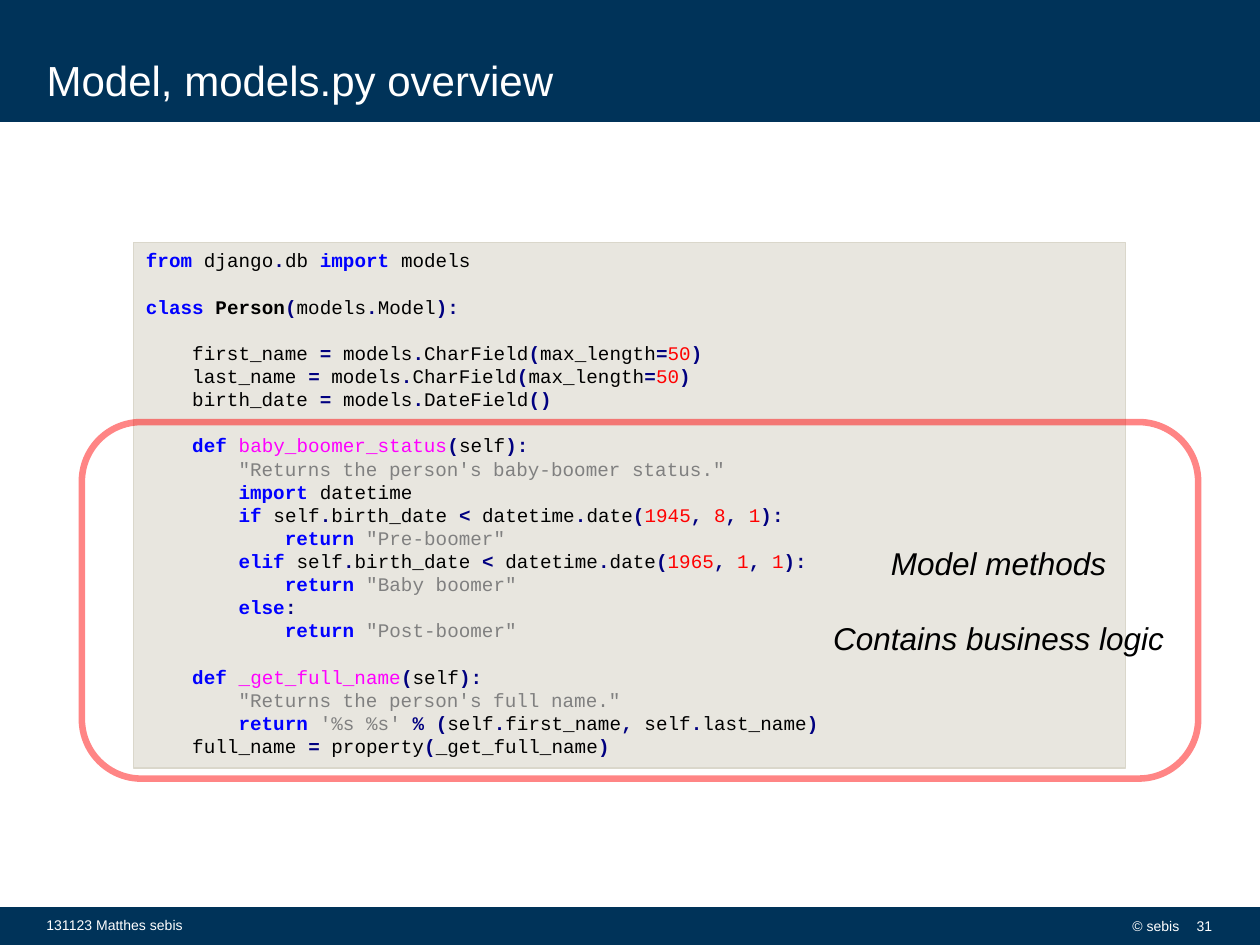
import itertools

import pptx
import pptx.dml.color
import pptx.enum.shapes
import pptx.enum.text
import pptx.oxml
import pptx.util

COLORS = {
    "band": "003359", "white": "FFFFFF", "black": "000000",
    "panel": "E8E6DF", "panel line": "DAD7CB", "highlight": "FF0000",
    "keyword": "0000FF", "operator": "000080", "function": "FF00FF",
    "number": "FF0000", "string": "808080",
}
COLUMNS, ROWS = 40, 30
SHAPE = pptx.enum.shapes.MSO_SHAPE
ANCHOR = pptx.enum.text.MSO_ANCHOR
ALIGN = pptx.enum.text.PP_ALIGN

KEYWORDS = {"from", "import", "class", "def", "if", "elif", "else", "return"}
CODE = '''from django.db import models

class Person(models.Model):

    first_name = models.CharField(max_length=50)
    last_name = models.CharField(max_length=50)
    birth_date = models.DateField()

    def baby_boomer_status(self):
        "Returns the person's baby-boomer status."
        import datetime
        if self.birth_date < datetime.date(1945, 8, 1):
            return "Pre-boomer"
        elif self.birth_date < datetime.date(1965, 1, 1):
            return "Baby boomer"
        else:
            return "Post-boomer"

    def _get_full_name(self):
        "Returns the person's full name."
        return '%s %s' % (self.first_name, self.last_name)
    full_name = property(_get_full_name)'''


def character_kind(character):
    if character.isspace():
        return "space"
    if character in "\"'":
        return "quote"
    return "word" if character.isalnum() or character == "_" else "operator"


def word_style(word, previous):
    """Return the colour name and boldness of a word in the code."""
    if word in KEYWORDS:
        return "keyword", True
    if word.isdigit():
        return "number", False
    return {"def": ("function", False), "class": ("black", True)}.get(previous, ("black", False))


def highlight(line):
    """Yield (text, colour name, bold) for each token, with the spaces around it."""
    previous = ""
    rest = line.lstrip()
    indent = line[:len(line) - len(rest)]
    while rest:
        kind = character_kind(rest[0])
        if kind == "quote":
            end = rest.index(rest[0], 1) + 1
            style = "string", False
        else:
            end = len(list(itertools.takewhile(lambda c: character_kind(c) == kind, rest)))
            style = word_style(rest[:end], previous) if kind == "word" else ("operator", True)
        previous = rest[:end]
        following = rest[end:].lstrip()
        yield (indent + rest[:len(rest) - len(following)], *style)
        indent, rest = "", following


class SlideBuilder:
    """Holds the style and the current slide."""
    font = "Arial"
    code_font = "Courier New"

    def __init__(self, presentation):
        self.width = presentation.slide_width
        self.height = presentation.slide_height
        self.slide = presentation.slides.add_slide(presentation.slide_layouts[5])

    def box(self, left, top, width, height):
        """Turn grid columns and rows into slide lengths."""
        across, down = self.width / COLUMNS, self.height / ROWS
        return [round(v) for v in (left * across, top * down, width * across, height * down)]

    def color(self, name):
        return pptx.dml.color.RGBColor.from_string(COLORS[name])

    def format(self, target, values):
        for name, value in values.items():
            setattr(target, name, value)

    def run(self, paragraph, text, color, size, **values):
        run = paragraph.add_run()
        run.text = text
        run.font.color.rgb = self.color(color)
        self.format(run.font, {"name": self.font, "size": pptx.util.Pt(size), **values})

    def shape(self, kind, place, fill, line, line_width):
        shape = self.slide.shapes.add_shape(kind, *self.box(*place))
        shape.shadow.inherit = False
        if fill:
            shape.fill.solid()
            shape.fill.fore_color.rgb = self.color(fill)
        else:
            shape.fill.background()
        shape.line.color.rgb = self.color(line)
        shape.line.width = pptx.util.Pt(line_width)
        return shape

    def band(self, top, height):
        band = self.shape(SHAPE.RECTANGLE, (0, top, COLUMNS, height), "band", "band", 1.35)
        band.element.getparent().insert(2, band.element)  # behind the title

    def title(self, place, text):
        title = self.slide.shapes.title
        self.format(title, dict(zip(("left", "top", "width", "height"), self.box(*place))))
        self.format(title.text_frame, {
            "vertical_anchor": ANCHOR.BOTTOM, "margin_top": 0, "margin_bottom": 0,
            "word_wrap": True, "auto_size": pptx.enum.text.MSO_AUTO_SIZE.NONE})
        paragraph = title.text_frame.paragraphs[0]
        paragraph.alignment = ALIGN.LEFT
        self.run(paragraph, text, "white", 24)

    def text(self, place, lines, color, size, align=ALIGN.LEFT, anchor=ANCHOR.MIDDLE,
             wrap=False, gap=0, **values):
        frame = self.slide.shapes.add_textbox(*self.box(*place)).text_frame
        self.format(frame, {"vertical_anchor": anchor, "word_wrap": wrap})
        for index, line in enumerate(lines):
            paragraph = frame.add_paragraph() if index else frame.paragraphs[0]
            paragraph.alignment = align
            if index:
                paragraph.space_before = pptx.util.Pt(gap)
            self.run(paragraph, line, color, size, **values)

    def code(self, place, source):
        panel = self.shape(SHAPE.RECTANGLE, place, "panel", "panel line", 0.75)
        frame = panel.text_frame
        self.format(frame, {"vertical_anchor": ANCHOR.TOP, "word_wrap": True})
        for index, line in enumerate(source.splitlines()):
            paragraph = frame.add_paragraph() if index else frame.paragraphs[0]
            self.format(paragraph, {"alignment": ALIGN.LEFT, "line_spacing": pptx.util.Pt(13.2)})
            for text, color, bold in highlight(line):
                self.run(paragraph, text, color, 11, name=self.code_font, bold=bold)

    def highlight_frame(self, place, opacity):
        frame = self.shape(SHAPE.ROUNDED_RECTANGLE, place, None, "highlight", 3.75)
        line = frame.element.spPr.find(pptx.oxml.ns.qn("a:ln"))
        color = line.find(".//" + pptx.oxml.ns.qn("a:srgbClr"))
        color.append(pptx.oxml.parse_xml(
            f'<a:alpha {pptx.oxml.ns.nsdecls("a")} val="{opacity * 1000}"/>'))


def main():
    presentation = pptx.Presentation()
    presentation.slide_width = pptx.util.Inches(10)
    presentation.slide_height = pptx.util.Inches(7.5)
    builder = SlideBuilder(presentation)

    builder.band(0.04, 3.8)
    builder.band(28.84, 1.16)
    builder.title((1.08, 0.2, 32.96, 3.12), "Model, models.py overview")
    builder.text((30.8, 28.74, 7.04, 1.28), ["© sebis"], "white", 8, ALIGN.RIGHT)
    builder.text((1.08, 28.72, 18.92, 1.28), ["131123 Matthes sebis"], "white", 8, wrap=True)
    builder.text((37.28, 28.74, 1.6, 1.28), ["31"], "white", 8, ALIGN.RIGHT)
    builder.code((4.24, 7.7, 31.5, 16.68), CODE)
    builder.highlight_frame((2.6, 13.4, 35.44, 11.32), 47)
    builder.text((26, 17.08, 11.4, 4.04), ["Model methods", "Contains business logic"],
                 "black", 18, ALIGN.CENTER, ANCHOR.TOP, gap=21, italic=True)
    presentation.save("out.pptx")


if __name__ == "__main__":
    main()
